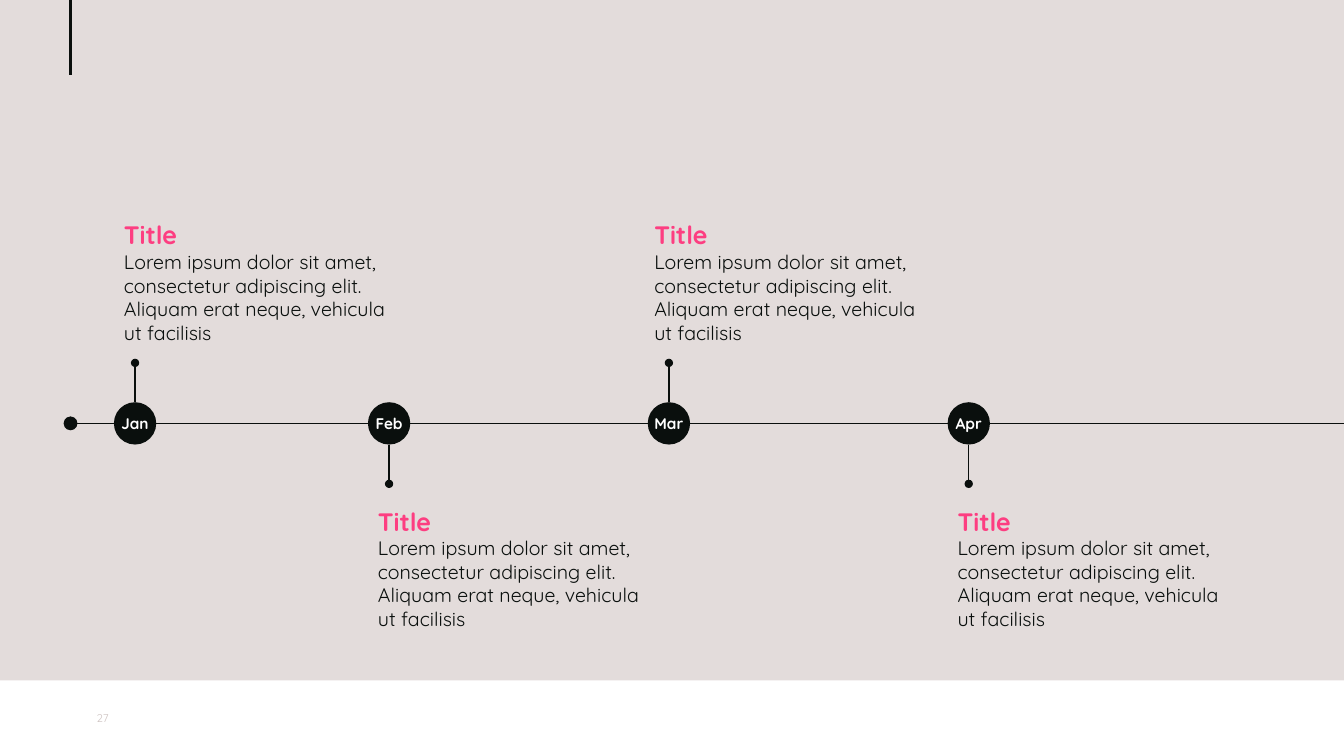
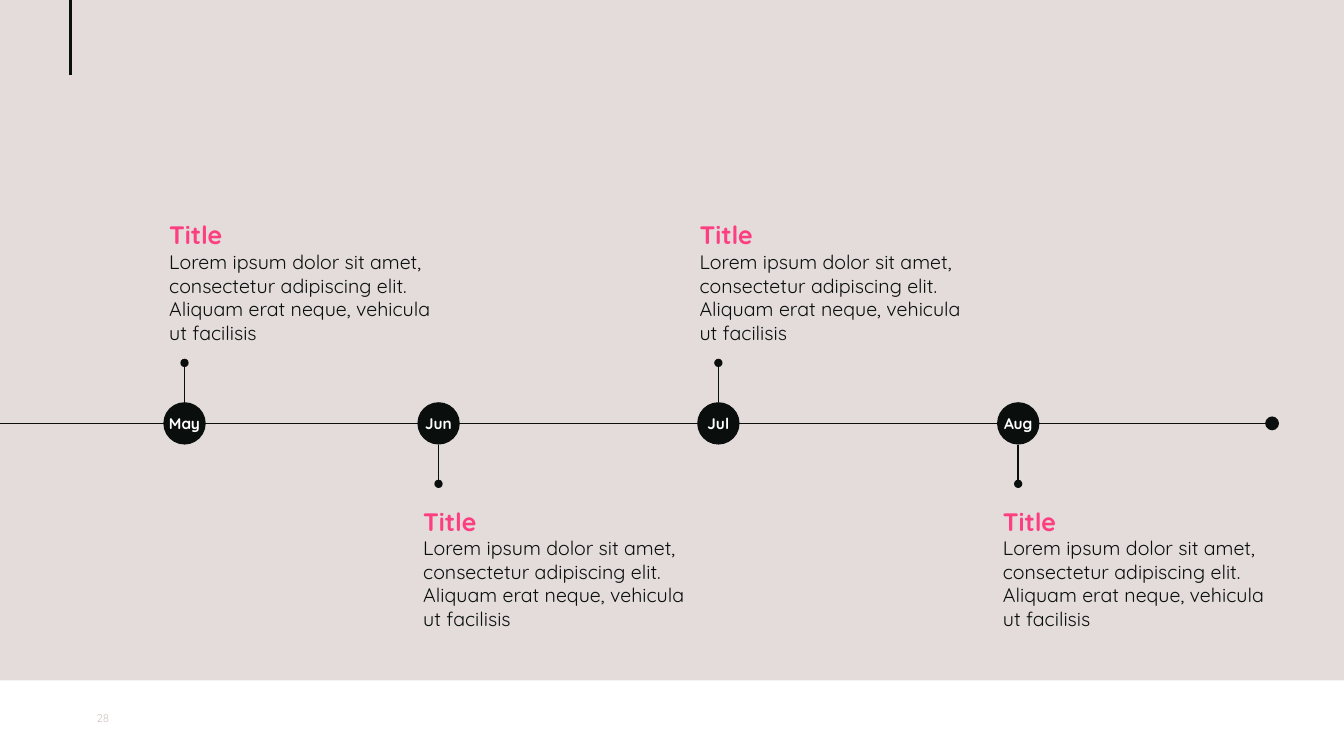
from dataclasses import dataclass

from lxml import etree
from pptx import Presentation, util as u
from pptx.dml.color import RGBColor
from pptx.enum import shapes, text
from pptx.oxml.ns import qn

COLORS = {
    "ground": "E3DCDB",
    "band": "FFFFFF",
    "ink": "0A0F0D",
    "accent": "FD3E81",
    "page": "CEC3C1",
}
FONT = "Quicksand"
SLIDE_WIDTH, SLIDE_HEIGHT = u.Inches(13.33), u.Inches(7.5)

# All positions are percent of the slide: columns across, rows down.
MARGIN_COL = 5.25
BAND_ROW = 90
AXIS_ROW = 56
STEM_REACH = 8
HUB_COLS, HUB_ROWS = 3.15, 5.6
CAPTION_COLS, CAPTION_ROWS = 22.13, 18
CAPTION_ABOVE_ROW, CAPTION_BELOW_ROW = 28.4, 66.27

HEADING = "Title"
BODY = ("Lorem ipsum dolor sit amet, consectetur adipiscing elit. "
        "Aliquam erat neque, vehicula ut facilisis")


@dataclass(frozen=True)
class Stop:
    """Distances of a month's hub and caption from those of the first month."""
    hub: float
    caption: float
    above: bool


STOPS = (
    Stop(0, 0, True),
    Stop(18.9, 18.9, False),
    Stop(39.72, 39.46, True),
    Stop(62.03, 62.03, False),
)


@dataclass(frozen=True)
class Timeline:
    page: str
    months: tuple[str, ...]
    axis_dot: float
    axis_end: float
    first_hub: float
    first_caption: float


TIMELINES = (
    Timeline("27", ("Jan", "Feb", "Mar", "Apr"), MARGIN_COL, 100, 10.05, 8.48),
    Timeline("28", ("May", "Jun", "Jul", "Aug"), 94.65, 0, 13.73, 11.85),
)


def color(key: str) -> RGBColor:
    return RGBColor.from_string(COLORS[key])


def across(columns: float) -> int:
    return round(SLIDE_WIDTH * columns / 100)


def down(rows: float) -> int:
    return round(SLIDE_HEIGHT * rows / 100)


def area(col: float, row: float, cols: float, rows: float) -> tuple[int, ...]:
    return across(col), down(row), across(cols), down(rows)


def add_filled(slide, kind, place: tuple[int, ...], fill: str):
    shape = slide.shapes.add_shape(kind, *place)
    shape.shadow.inherit = False
    shape.fill.solid()
    shape.fill.fore_color.rgb = color(fill)
    shape.line.fill.background()
    return shape


def add_line(slide, start: tuple[float, float], end: tuple[float, float],
             width: float = 1, dot: str = "") -> None:
    """Draw a line; dot is the size (med or lg) of a round head at its start."""
    line = slide.shapes.add_connector(
        shapes.MSO_CONNECTOR.STRAIGHT,
        across(start[0]), down(start[1]), across(end[0]), down(end[1]))
    line.line.color.rgb = color("ink")
    line.line.width = u.Pt(width)
    if dot:
        etree.SubElement(line.line._get_or_add_ln(), qn("a:headEnd"),
                         type="oval", w=dot, len=dot)
    etree.SubElement(line._element.spPr, qn("a:effectLst"))


def write(paragraph, words: str, *, size: float, ink: str, bold: bool = False,
          align=text.PP_ALIGN.LEFT) -> None:
    paragraph.alignment = align
    run = paragraph.add_run()
    run.text = words
    run.font.name = FONT
    run.font.size = u.Pt(size)
    run.font.bold = bold
    run.font.color.rgb = color(ink)


def add_frame(slide, place: tuple[int, ...]):
    frame = slide.shapes.add_textbox(*place).text_frame
    frame.word_wrap = True
    return frame


def add_base(slide, page: str) -> None:
    slide.background.fill.solid()
    slide.background.fill.fore_color.rgb = color("ground")
    add_filled(slide, shapes.MSO_SHAPE.RECTANGLE,
               area(0, BAND_ROW, 100, 100 - BAND_ROW), "band")
    add_line(slide, (MARGIN_COL, 0), (MARGIN_COL, 9.87), width=1.5)
    number = add_frame(slide, area(6.45, 92.8, 4.05, 4.27))
    number.vertical_anchor = text.MSO_ANCHOR.MIDDLE
    write(number.paragraphs[0], page, size=8, ink="page")


def add_hub(slide, month: str, center: float, above: bool) -> None:
    hub = add_filled(slide, shapes.MSO_SHAPE.OVAL,
                     area(center - HUB_COLS / 2, AXIS_ROW - HUB_ROWS / 2,
                          HUB_COLS, HUB_ROWS), "ink")
    hub.text_frame.word_wrap = False
    hub.text_frame.vertical_anchor = text.MSO_ANCHOR.MIDDLE
    write(hub.text_frame.paragraphs[0], month, size=11, ink="band", bold=True,
          align=text.PP_ALIGN.CENTER)
    side = -1 if above else 1
    add_line(slide, (center, AXIS_ROW + side * STEM_REACH),
             (center, AXIS_ROW + side * HUB_ROWS / 2), dot="med")


def add_caption(slide, col: float, above: bool) -> None:
    row = CAPTION_ABOVE_ROW if above else CAPTION_BELOW_ROW
    frame = add_frame(slide, area(col, row, CAPTION_COLS, CAPTION_ROWS))
    frame.auto_size = text.MSO_AUTO_SIZE.SHAPE_TO_FIT_TEXT
    write(frame.paragraphs[0], HEADING, size=18, ink="accent", bold=True)
    write(frame.add_paragraph(), BODY, size=14, ink="ink")


def add_timeline(slide, timeline: Timeline) -> None:
    add_base(slide, timeline.page)
    add_line(slide, (timeline.axis_dot, AXIS_ROW),
             (timeline.axis_end, AXIS_ROW), dot="lg")
    for month, stop in zip(timeline.months, STOPS):
        add_hub(slide, month, timeline.first_hub + stop.hub, stop.above)
        add_caption(slide, timeline.first_caption + stop.caption, stop.above)


def main() -> None:
    deck = Presentation()
    deck.slide_width, deck.slide_height = SLIDE_WIDTH, SLIDE_HEIGHT
    blank = deck.slide_layouts[6]
    for timeline in TIMELINES:
        add_timeline(deck.slides.add_slide(blank), timeline)
    deck.save("out.pptx")


if __name__ == "__main__":
    main()
